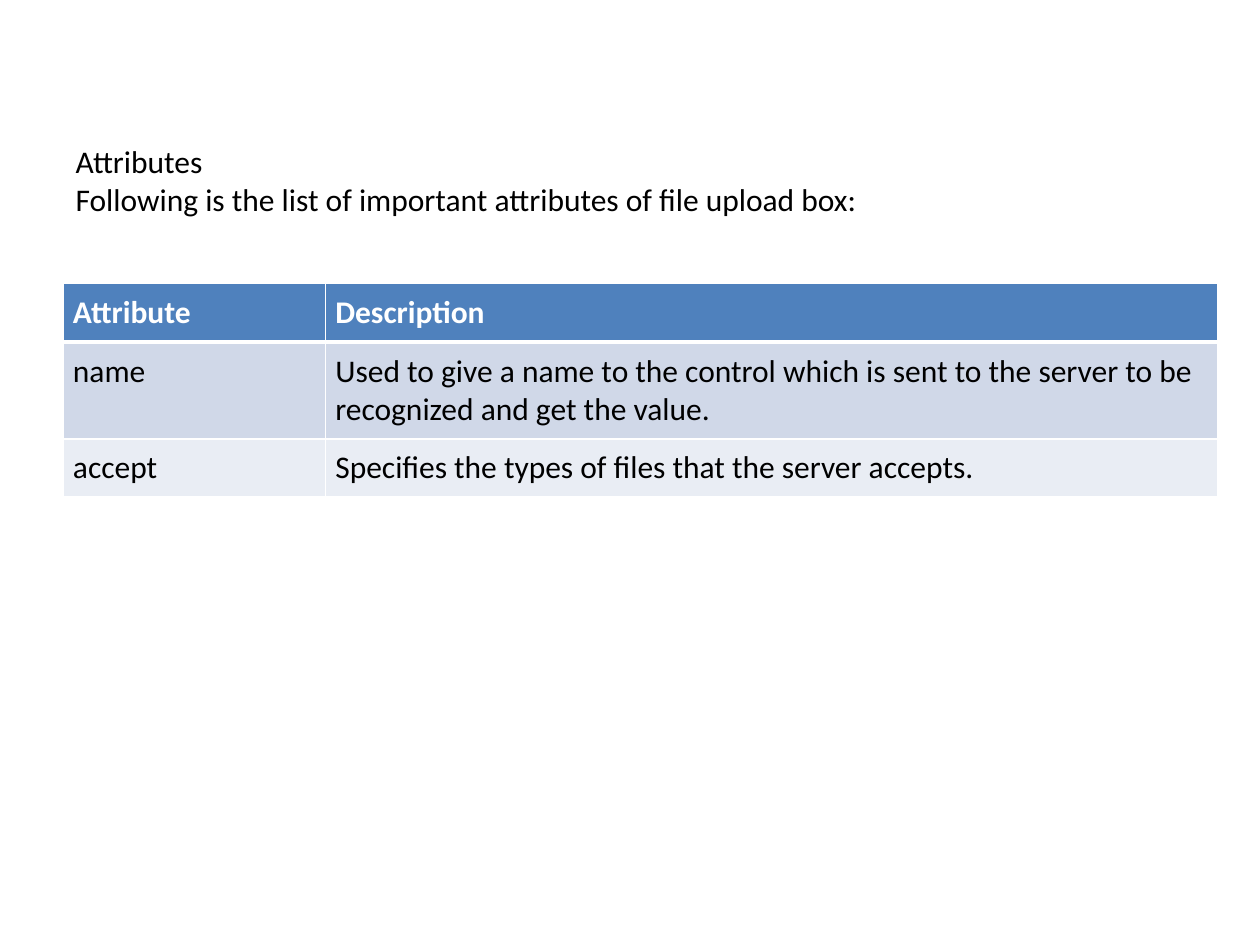
import pptx
import pptx.util
import pptx.dml.color
import pptx.enum.text
import pptx.oxml
import pptx.oxml.ns

Cm = pptx.util.Cm
Pt = pptx.util.Pt
RGBColor = pptx.dml.color.RGBColor

BLACK = RGBColor(0x00, 0x00, 0x00)
WHITE = RGBColor(0xFF, 0xFF, 0xFF)
HEADER_BLUE = RGBColor(0x4F, 0x81, 0xBD)
BAND_DARK = RGBColor(0xD0, 0xD8, 0xE8)
BAND_LIGHT = RGBColor(0xE9, 0xED, 0xF4)

FONT_NAME = "Calibri"
FONT_SIZE = Pt(18)

INTRODUCTION = [
    "Attributes",
    "Following is the list of important attributes of file upload box:",
]
ATTRIBUTES = [
    ("Attribute", "Description"),
    ("name", "Used to give a name to the control which is sent to the server "
             "to be recognized and get the value."),
    ("accept", "Specifies the types of files that the server accepts."),
]


def format_paragraph(paragraph, color, bold=False):
    """Apply the slide's common text format to one paragraph."""
    paragraph.alignment = pptx.enum.text.PP_ALIGN.LEFT
    paragraph.font.name = FONT_NAME
    paragraph.font.size = FONT_SIZE
    paragraph.font.bold = bold
    paragraph.font.color.rgb = color


def add_border(cell, side, width):
    """Give one side (L, R, T or B) of a cell a solid white border."""
    border = pptx.oxml.parse_xml(
        f'<a:ln{side} {pptx.oxml.ns.nsdecls("a")} w="{int(width)}">'
        f'<a:solidFill><a:srgbClr val="{WHITE}"/></a:solidFill></a:ln{side}>')
    cell._tc.get_or_add_tcPr().append(border)


def place_introduction(slide, left, top, width, height):
    """Put the heading and its lead-in line in the title placeholder."""
    heading = slide.shapes.title
    heading.left, heading.top = left, top
    heading.width, heading.height = width, height
    frame = heading.text_frame
    frame.text = "\n".join(INTRODUCTION)
    frame.word_wrap = True
    frame.auto_size = pptx.enum.text.MSO_AUTO_SIZE.NONE
    frame.vertical_anchor = pptx.enum.text.MSO_ANCHOR.TOP
    for paragraph in frame.paragraphs:
        format_paragraph(paragraph, BLACK)


def place_attribute_table(slide, left, top, width, row_height):
    """Add the attribute table with a blue header and banded rows."""
    table = slide.shapes.add_table(
        len(ATTRIBUTES), 2, left, top, width,
        row_height * len(ATTRIBUTES)).table
    name_width = Cm(5.29)
    table.columns[0].width = name_width
    table.columns[1].width = width - name_width

    for row, texts in enumerate(ATTRIBUTES):
        is_header = row == 0
        if is_header:
            fill_color = HEADER_BLUE
        else:
            fill_color = BAND_DARK if row % 2 else BAND_LIGHT
        border_widths = {
            "L": Pt(1),
            "R": Pt(1),
            "T": Pt(3) if row == 1 else Pt(1),
            "B": Pt(3) if is_header else Pt(1),
        }
        for column, text in enumerate(texts):
            cell = table.cell(row, column)
            cell.text = text
            cell.margin_left = cell.margin_right = Cm(0.2)
            cell.margin_top = cell.margin_bottom = Cm(0.2)
            for side, border_width in border_widths.items():
                add_border(cell, side, border_width)
            cell.fill.solid()
            cell.fill.fore_color.rgb = fill_color
            format_paragraph(cell.text_frame.paragraphs[0],
                             WHITE if is_header else BLACK, is_header)


def build_attributes_slide(presentation):
    """Add the slide with the introduction above the attribute table."""
    slide = presentation.slides.add_slide(presentation.slide_layouts[5])
    left, width = Cm(1.27), Cm(23.28)
    place_introduction(slide, left, Cm(2.74), width, Cm(3.33))
    place_attribute_table(slide, left, Cm(5.72), width, Cm(1.04))


presentation = pptx.Presentation()
presentation.slide_width = Cm(25.4)
presentation.slide_height = Cm(19.05)
build_attributes_slide(presentation)
presentation.save("out.pptx")
